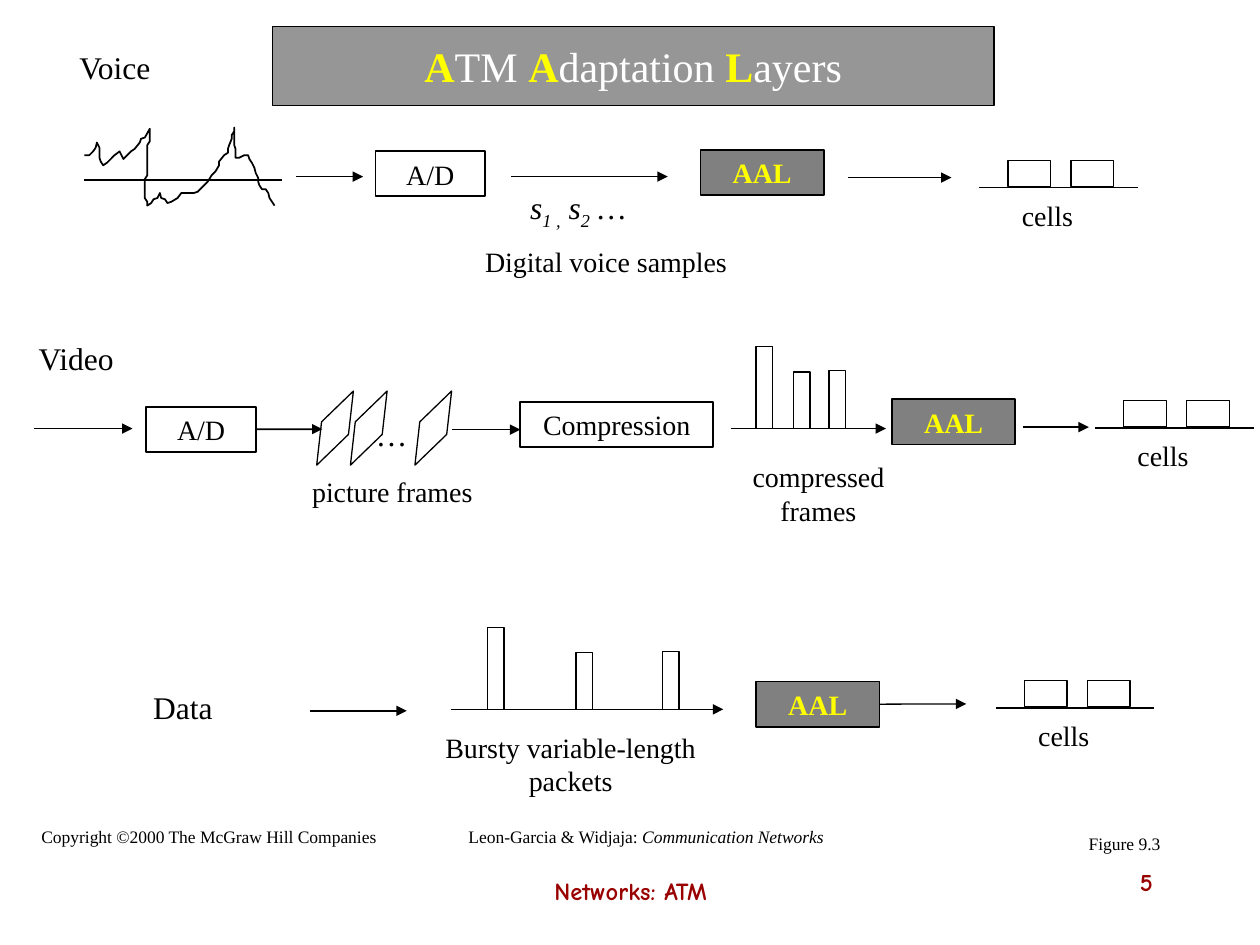
from lxml import etree
from pptx import Presentation
from pptx.dml.color import RGBColor
from pptx.enum.shapes import MSO_CONNECTOR, MSO_SHAPE
from pptx.enum.text import MSO_ANCHOR, MSO_AUTO_SIZE, PP_ALIGN
from pptx.oxml.ns import qn
from pptx.util import Cm, Pt

BLACK = RGBColor(0x00, 0x00, 0x00)
WHITE = RGBColor(0xFF, 0xFF, 0xFF)
YELLOW = RGBColor(0xFF, 0xFF, 0x00)
GRAY = RGBColor(0x80, 0x80, 0x80)
TITLE_GRAY = RGBColor(0x96, 0x96, 0x96)
DARK_RED = RGBColor(0x99, 0x00, 0x00)

SERIF, COMIC = "Times New Roman", "Comic Neue"
LEFT, CENTER, RIGHT = PP_ALIGN.LEFT, PP_ALIGN.CENTER, PP_ALIGN.RIGHT
TOP, MIDDLE = MSO_ANCHOR.TOP, MSO_ANCHOR.MIDDLE
GROW = MSO_AUTO_SIZE.SHAPE_TO_FIT_TEXT
STRAIGHT = MSO_CONNECTOR.STRAIGHT
RECTANGLE, PARALLELOGRAM = MSO_SHAPE.RECTANGLE, MSO_SHAPE.PARALLELOGRAM
RIGHT_SIDE = 3
BOX_HEIGHT = 0.91
BAR_HEIGHTS = (1.65, 1.14, 1.17)

# Voice signal outline, in hundredths of an inch
WAVE_UNIT = 0.0254
WAVE = [
    (0, 22), (4, 22), (7, 19), (9, 16), (10, 12), (12, 16), (12, 24), (13, 27),
    (15, 30), (18, 28), (24, 22), (28, 19), (31, 25), (37, 19), (40, 17), (44, 12),
    (45, 9), (48, 8), (52, 1), (52, 11), (50, 14), (50, 38), (48, 41), (48, 56),
    (50, 59), (50, 62), (53, 60), (55, 57), (58, 56), (60, 52), (61, 56), (64, 57),
    (66, 60), (69, 59), (74, 56), (77, 52), (87, 52), (90, 51), (93, 48), (98, 43),
    (101, 38), (104, 35), (107, 30), (107, 27), (111, 22), (114, 20), (114, 17),
    (115, 14), (117, 9), (117, 6), (119, 3), (119, 0), (119, 14), (120, 17),
    (120, 24), (123, 24), (127, 22), (130, 22), (131, 25), (133, 28), (135, 32),
    (136, 36), (138, 40), (138, 43), (139, 46), (141, 49), (144, 49), (146, 52),
    (147, 56), (149, 59), (151, 62),
]


def style_span(span, size, color=BLACK, bold=False, italic=False, font=SERIF):
    span.font.name, span.font.size = font, Pt(size)
    span.font.bold, span.font.italic = bold, italic
    span.font.color.rgb = color


def write(shape, text, size, align=LEFT, anchor=TOP, wrap=True, **look):
    frame = shape.text_frame
    frame.text = text
    frame.word_wrap, frame.vertical_anchor = wrap, anchor
    frame.auto_size = GROW
    para = frame.paragraphs[0]
    para.alignment = align
    for span in para.runs:
        style_span(span, size, **look)
    return para


def add_label(shapes, left, top, width, height, text, size, **look):
    box = shapes.add_textbox(Cm(left), Cm(top), Cm(width), Cm(height))
    return write(box, text, size, **look)


def outline(shape, weight, fill=None):
    shape.shadow.inherit = False
    shape.line.color.rgb, shape.line.width = BLACK, Pt(weight)
    if fill is None:
        shape.fill.background()
    else:
        shape.fill.solid()
        shape.fill.fore_color.rgb = fill


def add_box(shapes, left, top, width, height, weight=0.75, fill=None, kind=RECTANGLE):
    box = shapes.add_shape(kind, Cm(left), Cm(top), Cm(width), Cm(height))
    outline(box, weight, fill)
    return box


def add_step(shapes, left, top, width, text):
    box = add_box(shapes, left, top, width, BOX_HEIGHT, 1)
    write(box, text, 16, CENTER)
    return box


def add_aal(shapes, left, top):
    box = add_box(shapes, left, top, 2.49, BOX_HEIGHT, 1, GRAY)
    write(box, "AAL", 16, CENTER, color=YELLOW, bold=True)
    return box


def add_line(shapes, start, end, y, weight=0.75, arrow=False):
    line = shapes.add_connector(STRAIGHT, Cm(start), Cm(y), Cm(end), Cm(y))
    line.line.color.rgb, line.line.width = BLACK, Pt(weight)
    properties = line._element.spPr
    if arrow:
        etree.SubElement(properties.find(qn("a:ln")), qn("a:tailEnd"), type="triangle")
    etree.SubElement(properties, qn("a:effectLst"))
    return line


def add_arrow(shapes, start, end, y, weight=1):
    return add_line(shapes, start, end, y, weight, arrow=True)


def add_cells(page, left, top):
    shapes = page.shapes.add_group_shape().shapes
    add_line(shapes, left, left + 3.2, top + 0.55)
    for offset in (0.58, 1.85):
        add_box(shapes, left + offset, top, 0.86, 0.53)
    add_label(shapes, left + 0.61, top + 0.64, 1.85, 0.94, "cells", 16)


def add_bars(shapes, left, base, length, offsets):
    add_arrow(shapes, left, left + length, base)
    for offset, height in zip(offsets, BAR_HEIGHTS):
        add_box(shapes, left + offset, base - height, 0.33, height)


def add_title(page, left, top, width, height):
    box = add_box(page.shapes, left, top, width, height, fill=TITLE_GRAY)
    para = write(box, "", 24, CENTER, MIDDLE, wrap=False)
    box.text_frame.auto_size = MSO_AUTO_SIZE.NONE
    for initial, rest in (("A", "TM "), ("A", "daptation "), ("L", "ayers")):
        for text, color, bold in ((initial, YELLOW, True), (rest, WHITE, False)):
            span = para.add_run()
            span.text = text
            style_span(span, 24, color, bold)


def add_voice_row(page, left, top):
    shapes = page.shapes
    add_label(shapes, left, top, 2.29, 1.02, "Voice", 18)
    # Analog signal and its axis
    builder = shapes.build_freeform(*WAVE[0], scale=Cm(WAVE_UNIT))
    builder.add_line_segments(WAVE[1:], close=False)
    outline(builder.convert_to_shape(Cm(left + 0.35), Cm(top + 1.72)), 1)
    add_line(shapes, left + 0.35, left + 4.34, top + 2.78)
    # Conversion to samples
    add_arrow(shapes, left + 4.62, left + 5.97, top + 2.71)
    add_step(shapes, left + 6.22, top + 2.2, 2.21, "A/D")
    add_arrow(shapes, left + 8.96, left + 12.11, top + 2.71)
    para = add_label(shapes, left + 9.09, top + 2.81, 3.96, 1.12, "", 18)
    for text, lowered in (("s", 0), ("1 ,", 1), (" s", 0), ("2", 1), (" …", 0)):
        span = para.add_run()
        span.text = text
        style_span(span, 18, italic=True)
        if lowered:
            span.font._element.set("baseline", "-25000")
    add_label(shapes, left + 8.18, top + 3.95, 5.99, 0.94, "Digital voice samples", 16)
    # Adaptation to cells
    add_aal(shapes, left + 12.77, top + 2.17)
    add_arrow(shapes, left + 15.74, left + 17.83, top + 2.73)
    add_cells(page, left + 18.39, top + 2.38)


def add_video_row(page, left, top):
    shapes = page.shapes
    add_label(shapes, left, top, 2.29, 1.02, "Video", 18)
    add_arrow(shapes, left + 0.16, left + 2.14, top + 1.94)
    converter = add_step(shapes, left + 2.42, top + 1.5, 2.21, "A/D")
    # Picture frames
    frames = shapes.add_group_shape().shapes
    for offset in (5.44, 6.12, 7.42):
        frame = add_box(frames, left + offset, top + 1.65, 1.57, 0.56, kind=PARALLELOGRAM)
        frame.adjustments[0] = 1.21
        frame.rotation = 316
    add_label(frames, left + 6.84, top + 1.53, 1.07, 1.02, "…", 18,
              align=CENTER, anchor=MIDDLE, wrap=False, italic=True)
    arrow = add_arrow(shapes, left + 4.63, left + 5.97, top + 1.95)
    arrow.begin_connect(converter, RIGHT_SIDE)
    add_label(shapes, left + 5.41, top + 2.75, 3.94, 0.94, "picture frames", 16, align=CENTER)
    # Compression
    add_arrow(shapes, left + 8.59, left + 9.96, top + 1.96)
    add_step(shapes, left + 9.96, top + 1.4, 3.89, "Compression")
    add_bars(shapes, left + 14.2, top + 1.94, 3.13, (0.51, 1.27, 1.98))
    add_label(shapes, left + 14, top + 2.44, 3.94, 1.63, "compressed frames", 16, align=CENTER)
    # Adaptation to cells
    add_aal(shapes, left + 17.45, top + 1.35)
    add_arrow(shapes, left + 20.09, left + 21.42, top + 1.91)
    add_cells(page, left + 21.54, top + 1.38)


def add_data_row(page, left, top):
    shapes = page.shapes
    add_label(shapes, left, top + 1.09, 2.29, 1.02, "Data", 18)
    add_arrow(shapes, left + 3.41, left + 5.36, top + 1.68)
    # Packets
    add_bars(shapes, left + 6.25, top + 1.65, 5.49, (0.74, 2.52, 4.27))
    add_label(shapes, left + 5.44, top + 1.95, 6.45, 1.63,
              "Bursty variable-length packets", 16, align=CENTER)
    # Adaptation to cells
    adapter = add_aal(shapes, left + 12.4, top + 1.09)
    arrow = add_arrow(shapes, left + 14.89, left + 16.64, top + 1.54, 0.75)
    arrow.begin_connect(adapter, RIGHT_SIDE)
    add_cells(page, left + 17.23, top + 1.07)


def add_footer(page, left, top):
    shapes = page.shapes
    credit = dict(align=CENTER, anchor=MIDDLE, wrap=False)
    add_label(shapes, left, top, 7.26, 0.69,
              "Copyright ©2000 The McGraw Hill Companies", 10, **credit)
    para = add_label(shapes, left + 8.56, top, 7.77, 0.69, "", 10, **credit)
    for text, italic in (("Leon-Garcia & Widjaja: ", False), ("Communication Networks", True)):
        span = para.add_run()
        span.text = text
        style_span(span, 10, italic=italic)
    add_label(shapes, left + 21.11, top + 0.15, 1.96, 0.69, "Figure 9.3", 10, **credit)
    comic = dict(color=DARK_RED, bold=True, font=COMIC)
    add_label(shapes, left + 8.11, top + 1.02, 8.05, 1.07, "Networks: ATM", 14,
              align=CENTER, **comic)
    add_label(shapes, left + 17.63, top + 0.84, 5.28, 1.27, "5", 14, align=RIGHT, **comic)


def main():
    deck = Presentation()
    deck.slide_width, deck.slide_height = Cm(25.4), Cm(19.05)
    page = deck.slides.add_slide(deck.slide_layouts[6])
    add_voice_row(page, 1.35, 0.85)
    add_video_row(page, 0.53, 6.7)
    add_data_row(page, 2.84, 12.65)
    add_footer(page, 0.58, 16.51)
    add_title(page, 5.49, 0.53, 14.55, 1.6)
    deck.save("out.pptx")


if __name__ == "__main__":
    main()
